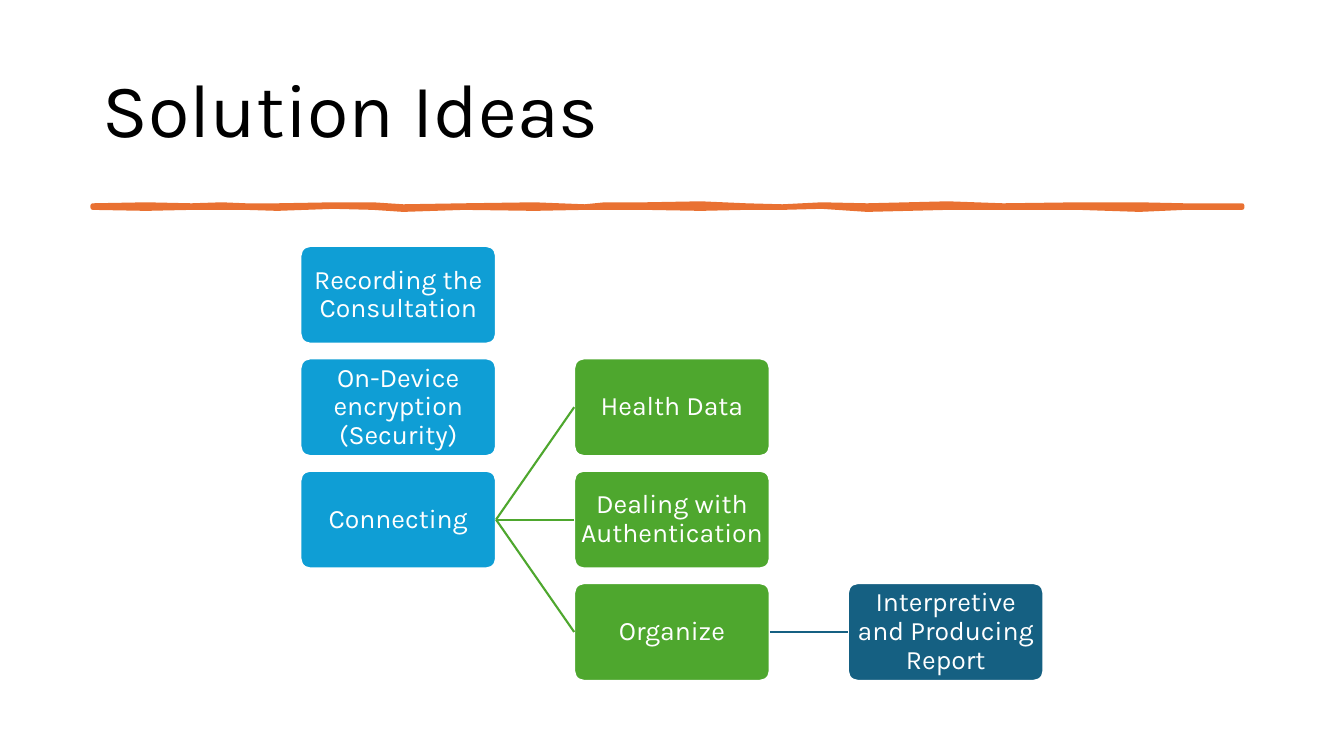
"""Build the Solution Ideas slide: a title, a brushed rule and a tree of ideas."""
import pptx
import pptx.util
import pptx.dml.color
import pptx.enum.shapes
import pptx.enum.text
import pptx.oxml
import pptx.oxml.ns

Inches = pptx.util.Inches
Pt = pptx.util.Pt
RGB = pptx.dml.color.RGBColor.from_string
ALIGN = pptx.enum.text.PP_ALIGN

COLORS = {
    "title": "000000",
    "paper": "FFFFFF",
    "rule": "E97132",
    "step": "0F9ED5",
    "task": "4EA72E",
    "result": "156082",
}


def write(shape, text, size, color, align, inset_x, inset_y):
    frame = shape.text_frame
    frame.word_wrap = True
    frame.auto_size = pptx.enum.text.MSO_AUTO_SIZE.NONE
    frame.vertical_anchor = pptx.enum.text.MSO_ANCHOR.MIDDLE
    frame.margin_left = frame.margin_right = Inches(inset_x)
    frame.margin_top = frame.margin_bottom = Inches(inset_y)
    paragraph = frame.paragraphs[0]
    paragraph.alignment = align
    paragraph.line_spacing = 0.9
    run = paragraph.add_run()
    run.text = text
    run.font.name = "Karla"
    run.font.size = Pt(size)
    run.font.color.rgb = RGB(COLORS[color])


deck = pptx.Presentation()
deck.slide_width = Inches(13.33)
deck.slide_height = Inches(7.5)
slide = deck.slides.add_slide(deck.slide_layouts[5])

heading = slide.shapes.title
heading.left, heading.top = Inches(0.92), Inches(0.4)
heading.width, heading.height = Inches(11.5), Inches(1.45)
write(heading, "Solution Ideas", size=54, color="title", align=ALIGN.LEFT,
      inset_x=0.1, inset_y=0.05)

# x, upper edge, lower edge
brush = [
    (0.92, 2.04, 2.06), (1.45, 2.03, 2.07), (1.9, 2.04, 2.06),
    (2.2, 2.03, 2.06), (2.44, 2.04, 2.06), (2.75, 2.04, 2.07),
    (3.31, 2.03, 2.05), (3.7, 2.03, 2.06), (4.0, 2.05, 2.08),
    (4.6, 2.04, 2.06), (5.3, 2.03, 2.07), (5.8, 2.05, 2.06),
    (6.0, 2.03, 2.06), (6.4, 2.03, 2.06), (6.95, 2.02, 2.07),
    (7.4, 2.04, 2.06), (7.76, 2.05, 2.06), (8.15, 2.03, 2.05),
    (8.6, 2.04, 2.08), (9.4, 2.02, 2.06), (9.95, 2.04, 2.06),
    (10.7, 2.03, 2.06), (11.3, 2.03, 2.08), (11.75, 2.04, 2.06),
    (12.32, 2.04, 2.06),
]
outline = [(Inches(x), Inches(upper)) for x, upper, lower in brush]
outline += [(Inches(x), Inches(lower)) for x, upper, lower in reversed(brush)]
builder = slide.shapes.build_freeform(*outline[0])
builder.add_line_segments(outline[1:], close=True)
rule = builder.convert_to_shape()
rule.shadow.inherit = False
rule.fill.solid()
rule.fill.fore_color.rgb = RGB(COLORS["rule"])
rule.line.color.rgb = RGB(COLORS["rule"])
rule.line.width = Pt(3.25)

LEFT, TOP, COLUMN_STEP, ROW_STEP = 2.98, 2.44, 2.715, 1.115
levels = ["step", "task", "result"]
ideas = [
    ("Recording the Consultation", 0, 0),
    ("On-Device encryption (Security)", 0, 1),
    ("Connecting", 0, 2),
    ("Health Data", 1, 1),
    ("Dealing with Authentication", 1, 2),
    ("Organize", 1, 3),
    ("Interpretive and Producing Report", 2, 3),
]
boxes = {}
for idea, column, row in ideas:
    box = slide.shapes.add_shape(
        pptx.enum.shapes.MSO_SHAPE.ROUNDED_RECTANGLE,
        Inches(LEFT + column * COLUMN_STEP), Inches(TOP + row * ROW_STEP),
        Inches(1.94), Inches(0.97))
    box.adjustments[0] = 0.1
    box.shadow.inherit = False
    box.fill.solid()
    box.fill.fore_color.rgb = RGB(COLORS[levels[column]])
    box.line.color.rgb = RGB(COLORS["paper"])
    box.line.width = Pt(1.5)
    write(box, idea, size=19, color="paper", align=ALIGN.CENTER,
          inset_x=0.02, inset_y=0.02)
    boxes[idea] = box

branches = [
    ("Connecting", "Health Data", "task"),
    ("Connecting", "Dealing with Authentication", "task"),
    ("Connecting", "Organize", "task"),
    ("Organize", "Interpretive and Producing Report", "result"),
]
for parent, child, level in branches:
    branch = slide.shapes.add_connector(
        pptx.enum.shapes.MSO_CONNECTOR.STRAIGHT, 0, 0, 0, 0)
    branch.begin_connect(boxes[parent], 3)
    branch.end_connect(boxes[child], 1)
    branch.line.color.rgb = RGB(COLORS[level])
    branch.line.width = Pt(1.5)
    properties = branch._element.spPr
    properties.append(pptx.oxml.parse_xml(
        "<a:effectLst %s/>" % pptx.oxml.ns.nsdecls("a")))

deck.save("out.pptx")
